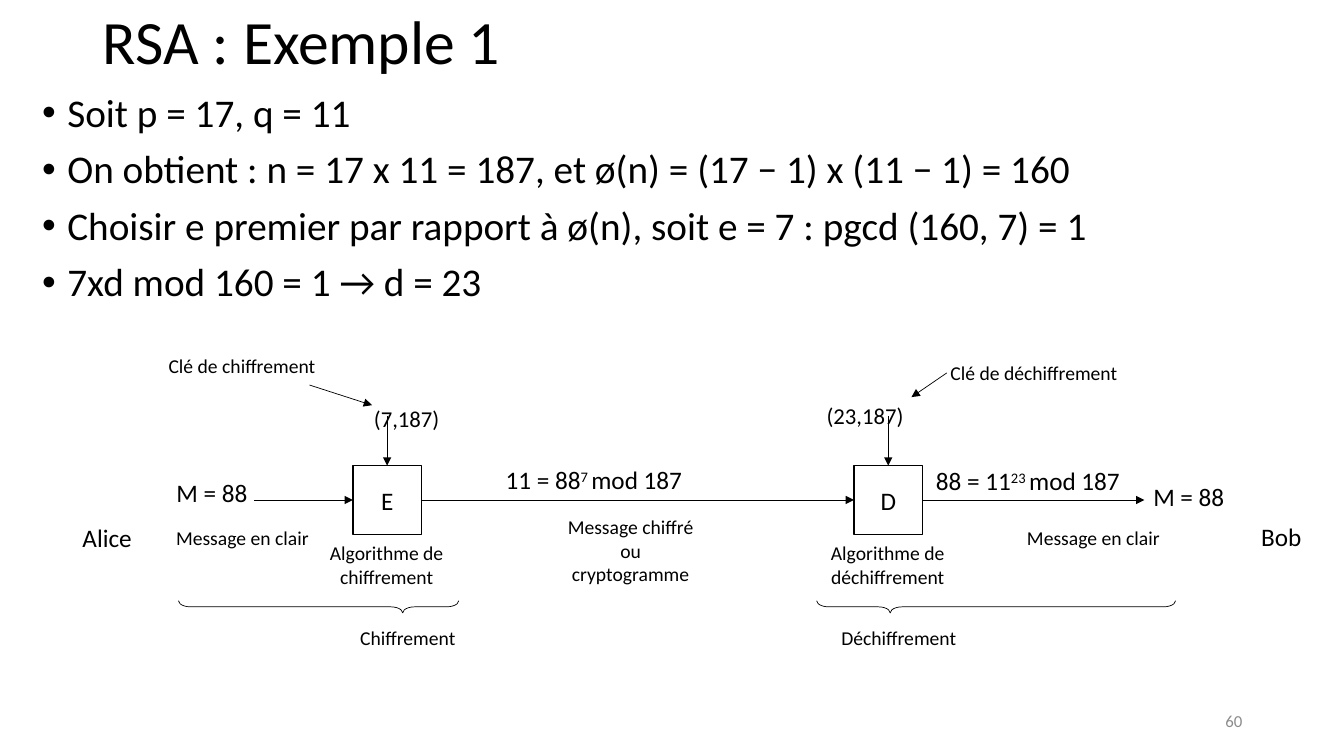
from lxml import etree
from pptx import Presentation
from pptx.dml.color import RGBColor
from pptx.enum.shapes import MSO_CONNECTOR, MSO_SHAPE
from pptx.enum.text import MSO_ANCHOR, PP_ALIGN
from pptx.oxml.ns import qn
from pptx.util import Inches, Pt

BLACK = RGBColor(0x00, 0x00, 0x00)
WHITE = RGBColor(0xFF, 0xFF, 0xFF)
GREY = RGBColor(0x8C, 0x8C, 0x8C)
LEFT, CENTER, RIGHT = PP_ALIGN.LEFT, PP_ALIGN.CENTER, PP_ALIGN.RIGHT
TOP, MIDDLE = MSO_ANCHOR.TOP, MSO_ANCHOR.MIDDLE
SIDE_TOP, SIDE_LEFT, SIDE_RIGHT = 0, 1, 3
BOX_SIZE = 0.68
BOX_TOP = 4.62
FLOW_Y = BOX_TOP + BOX_SIZE / 2


class Diagram:
    """Style and drawing methods for one slide."""

    font = "Calibri"
    thin = Pt(0.5)

    def __init__(self, slide):
        self.slide = slide

    def style(self, paragraph, size, color=BLACK, align=LEFT):
        paragraph.alignment = align
        for run in paragraph.runs:
            run.font.name = self.font
            run.font.size = Pt(size)
            run.font.color.rgb = color

    def text(self, words, left, top, width, height, size=14, align=CENTER,
             color=BLACK, anchor=TOP, wrap=True):
        box = self.slide.shapes.add_textbox(
            Inches(left), Inches(top), Inches(width), Inches(height))
        frame = box.text_frame
        frame.word_wrap = wrap
        frame.vertical_anchor = anchor
        frame.text = words
        for paragraph in frame.paragraphs:
            self.style(paragraph, size, color, align)
        return frame

    def bullets(self, lines, left, top, width, height, size):
        frame = self.text("\n".join(lines), left, top, width, height, size, LEFT)
        for index, paragraph in enumerate(frame.paragraphs):
            paragraph.line_spacing = 0.9
            paragraph.space_before = Pt(10 if index else 0)
            props = paragraph._p.get_or_add_pPr()
            props.set("marL", str(Inches(0.25)))
            props.set("indent", str(-Inches(0.25)))
            etree.SubElement(props, qn("a:buFont")).set("typeface", "Arial")
            etree.SubElement(props, qn("a:buChar")).set("char", "•")

    def shifted(self, parts, left, top, width, height, size, align=CENTER):
        """Text whose parts are (words, baseline shift in percent)."""
        paragraph = self.text("", left, top, width, height).paragraphs[0]
        for words, shift in parts:
            run = paragraph.add_run()
            run.text = words
            run._r.get_or_add_rPr().set("baseline", str(shift * 1000))
        self.style(paragraph, size, align=align)

    def box(self, letter, left):
        box = self.slide.shapes.add_shape(
            MSO_SHAPE.RECTANGLE, Inches(left), Inches(BOX_TOP),
            Inches(BOX_SIZE), Inches(BOX_SIZE))
        box.shadow.inherit = False
        box.fill.solid()
        box.fill.fore_color.rgb = WHITE
        box.line.color.rgb = BLACK
        box.line.width = Pt(1)
        box.text_frame.text = letter
        box.text_frame.vertical_anchor = MIDDLE
        self.style(box.text_frame.paragraphs[0], 18, align=CENTER)
        return box

    def brace(self, left, top, length, depth, tip):
        """Brace lying under a span, its tip at a share of the length."""
        brace = self.slide.shapes.add_shape(
            MSO_SHAPE.LEFT_BRACE,
            Inches(left + (length - depth) / 2),
            Inches(top - (length - depth) / 2), Inches(depth), Inches(length))
        brace.rotation = 270
        brace.adjustments[0] = 1
        brace.adjustments[1] = tip
        brace.shadow.inherit = False
        brace.fill.background()
        brace.line.color.rgb = BLACK
        brace.line.width = self.thin

    def arrow(self, start, end, source=None, target=None):
        """Arrow between two points; source and target are (box, side)."""
        arrow = self.slide.shapes.add_connector(
            MSO_CONNECTOR.STRAIGHT, *(Inches(v) for v in start + end))
        if source:
            arrow.begin_connect(*source)
        if target:
            arrow.end_connect(*target)
        arrow.line.color.rgb = BLACK
        arrow.line.width = self.thin
        etree.SubElement(arrow.line._get_or_add_ln(),
                         qn("a:tailEnd")).set("type", "triangle")
        etree.SubElement(arrow._element.spPr, qn("a:effectLst"))


def main():
    prs = Presentation()
    prs.slide_width, prs.slide_height = Inches(13.33), Inches(7.5)
    diagram = Diagram(prs.slides.add_slide(prs.slide_layouts[6]))

    # Title and calculation steps
    title = diagram.text("RSA : Exemple 1", 0.92, 0, 11.5, 0.88, 44, LEFT,
                         anchor=MIDDLE)
    title.paragraphs[0].line_spacing = 0.9
    diagram.bullets([
        "Soit p = 17, q = 11",
        "On obtient : n = 17 x 11 = 187, et ø(n) = (17 − 1) x (11 − 1) = 160",
        "Choisir e premier par rapport à ø(n), soit e = 7 : pgcd (160, 7) = 1",
        "7xd mod 160 = 1 → d = 23",
    ], 0.32, 0.88, 12.77, 6.44, 28)

    # Algorithm boxes, each with its key arrow and caption
    algorithms = []
    for letter, left, caption in (("E", 3.5, "Algorithme de chiffrement"),
                                  ("D", 8.47, "Algorithme de déchiffrement")):
        algorithm = diagram.box(letter, left)
        middle = left + BOX_SIZE / 2
        diagram.arrow((middle, 4.13), (middle, BOX_TOP),
                      target=(algorithm, SIDE_TOP))
        diagram.text(caption, left - 0.48, 5.32, 1.63, 0.57)
        algorithms.append(algorithm)
    encryption, decryption = algorithms

    # Message flow
    diagram.arrow((2.52, FLOW_Y), (3.5, FLOW_Y), target=(encryption, SIDE_LEFT))
    diagram.arrow((4.18, FLOW_Y), (8.47, FLOW_Y),
                  (encryption, SIDE_RIGHT), (decryption, SIDE_LEFT))
    diagram.arrow((9.15, FLOW_Y), (11.35, FLOW_Y), (decryption, SIDE_RIGHT))

    # Keys
    diagram.shifted([("(7,187)", -25)], 3.61, 3.71, 1.22, 0.42, 28, LEFT)
    diagram.shifted([("(23,187)", -25)], 8.1, 3.68, 1.21, 0.42, 28, LEFT)
    diagram.text("Clé de chiffrement", 1.49, 3.46, 1.82, 0.34)
    diagram.text("Clé de déchiffrement", 9.24, 3.53, 2.03, 0.34)
    diagram.arrow((3.07, 3.82), (3.69, 4.02))
    diagram.arrow((9.39, 3.7), (9.04, 3.94))

    # Messages and formulas
    diagram.text("M = 88", 1.65, 4.69, 1.08, 0.4, 18, LEFT)
    diagram.text("M = 88", 11.34, 4.73, 1, 0.4, 18, LEFT)
    for left in (1.59, 10.03):
        diagram.text("Message en clair", left, 5.17, 1.63, 0.34)
    diagram.text("Message chiffré ou\ncryptogramme", 5.44, 5.06, 1.63, 0.81)
    diagram.shifted([("11 = 88", 0), ("7 ", 30), ("mod 187", 0)],
                    4.82, 4.56, 2.14, 0.4, 18)
    diagram.shifted([("88 = 11", 0), ("23 ", 30), ("mod 187", 0)],
                    9.13, 4.57, 2.13, 0.4, 18)

    # Phases
    diagram.brace(1.77, 5.96, 2.78, 0.12, 0.8)
    diagram.brace(8.1, 5.96, 3.56, 0.12, 0.205)
    diagram.text("Chiffrement", 3.23, 6.16, 1.63, 0.34)
    diagram.text("Déchiffrement", 8.1, 6.16, 1.63, 0.34)

    # People and page number
    diagram.text("Alice", 0.72, 5.13, 0.7, 0.4, 18, LEFT, wrap=False)
    diagram.text("Bob", 12.41, 5.12, 0.61, 0.4, 18, LEFT, wrap=False)
    diagram.text("60", 9.42, 6.95, 3, 0.4, 12, RIGHT, GREY, MIDDLE)

    prs.save("out.pptx")


if __name__ == "__main__":
    main()
